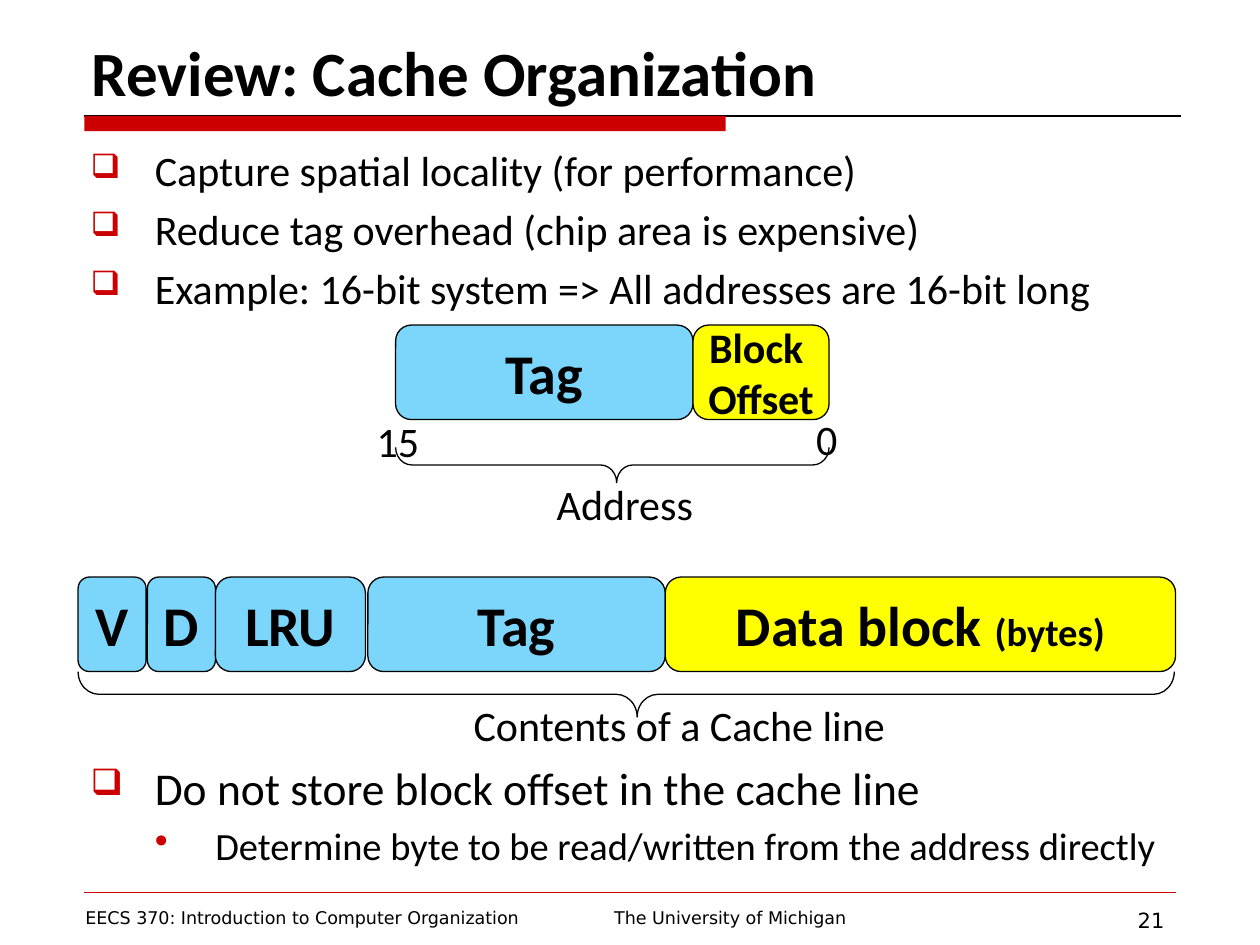
from lxml.etree import SubElement
from pptx import Presentation
from pptx.dml.color import RGBColor
from pptx.enum.shapes import MSO_CONNECTOR, MSO_SHAPE
from pptx.enum.text import MSO_ANCHOR as ANCHOR, MSO_AUTO_SIZE as FIT, PP_ALIGN as ALIGN
from pptx.oxml.ns import qn
from pptx.util import Inches, Pt

COLORS = {"red": "CC0000", "black": "000000", "blue": "7CD5FA", "yellow": "FFFF00"}
BODY_FONT = "Calibri"
FOOTER_FONT = "DejaVu Sans"


def color(name):
    return RGBColor.from_string(COLORS[name])


def add_span(para, text, size, **extra):
    span = para.add_run()
    span.text = text
    formats = {"name": BODY_FONT, "size": Pt(size), "bold": False, **extra}
    for name, value in formats.items():
        setattr(span.font, name, value)
    span.font.color.rgb = color("black")


def add_box(page, left, top, width, height):
    box = page.shapes.add_textbox(*map(Inches, (left, top, width, height)))
    box.text_frame.word_wrap = True
    return box


def add_label(page, text, place, size=24, align=ALIGN.LEFT, font=BODY_FONT):
    para = add_box(page, *place).text_frame.paragraphs[0]
    para.alignment = align
    add_span(para, text, size, name=font)


def add_title(page, text):
    title = page.shapes.title
    place = {"left": 0.63, "top": 0, "width": 8.75, "height": 0.92}
    for name, value in place.items():
        setattr(title, name, Inches(value))
    frame = title.text_frame
    frame.auto_size = FIT.NONE
    frame.vertical_anchor = ANCHOR.BOTTOM
    para = frame.paragraphs[0]
    para.alignment = ALIGN.LEFT
    add_span(para, text, 36, bold=True)


def add_rule(page, left, right, top, line_color, weight):
    rule = page.shapes.add_connector(
        MSO_CONNECTOR.STRAIGHT, *map(Inches, (left, top, right, top)))
    rule.line.color.rgb = color(line_color)
    rule.line.width = Pt(weight)
    SubElement(rule._element.spPr, qn("a:effectLst"))


def add_title_bar(page):
    add_rule(page, 0.67, 9.37, 0.92, "black", 0.75)
    bar = page.shapes.add_shape(
        MSO_SHAPE.RECTANGLE, *map(Inches, (0.67, 0.92, 5.09, 0.12)))
    bar.shadow.inherit = False
    bar.fill.solid()
    bar.fill.fore_color.rgb = color("red")
    bar.line.fill.background()


def set_bullet(para, level):
    """Give the paragraph the hanging indent and red mark of its level."""
    indent, hang, mark, percent = [(0.51, 0.51, "❑", 80), (0.99, 0.48, "•", 100)][level]
    props = para._p.get_or_add_pPr()
    props.set("marL", str(Inches(indent)))
    props.set("indent", str(-Inches(hang)))
    SubElement(SubElement(props, qn("a:buClr")), qn("a:srgbClr"), val=COLORS["red"])
    SubElement(props, qn("a:buSzPct"), val=str(percent * 1000))
    SubElement(props, qn("a:buChar"), char=mark)


def add_bullets(page, top, height, items):
    """Items are (text, size, level)."""
    frame = add_box(page, 0.62, top, 9.38, height).text_frame
    for index, (text, size, level) in enumerate(items):
        para = frame.paragraphs[0] if index == 0 else frame.add_paragraph()
        set_bullet(para, level)
        if index:
            para.space_before = Pt(size * 0.2)
        add_span(para, text, size)


def add_field(page, left, top, width, fill, lines):
    """Draw one bit field; each line is a list of (text, size)."""
    field = page.shapes.add_shape(
        MSO_SHAPE.ROUNDED_RECTANGLE, *map(Inches, (left, top, width, 0.75)))
    field.shadow.inherit = False
    field.fill.solid()
    field.fill.fore_color.rgb = color(fill)
    field.line.color.rgb = color("black")
    field.line.width = Pt(0.75)
    frame = field.text_frame
    frame.word_wrap = False
    frame.vertical_anchor = ANCHOR.MIDDLE
    for index, line in enumerate(lines):
        para = frame.paragraphs[0] if index == 0 else frame.add_paragraph()
        para.alignment = ALIGN.CENTER
        for text, size in line:
            add_span(para, text, size, bold=True)


def add_brace(page, left, top, width, depth):
    """Draw a brace that opens upwards and spans the given width."""
    turn = (width - depth) / 2
    brace = page.shapes.add_shape(
        MSO_SHAPE.LEFT_BRACE, *map(Inches, (left + turn, top - turn, depth, width)))
    brace.rotation = 270
    brace.adjustments[0] = 0.46
    brace.adjustments[1] = 0.51
    brace.shadow.inherit = False
    brace.fill.background()
    brace.line.color.rgb = color("black")
    brace.line.width = Pt(0.75)


def add_cache_line(page):
    fields = [
        (0.62, 0.54, "blue", [("V", 32)]),
        (1.17, 0.54, "blue", [("D", 32)]),
        (1.71, 1.19, "blue", [("LRU", 32)]),
        (2.92, 2.36, "blue", [("Tag", 32)]),
        (5.28, 4.05, "yellow", [("Data block ", 32), ("(bytes)", 22)]),
    ]
    for left, width, fill, line in fields:
        add_field(page, left, 4.58, width, fill, [line])
    add_brace(page, 0.62, 5.33, 8.7, 0.36)
    add_label(page, "Contents of a Cache line", (3.66, 5.5, 3.68, 0.5))


def add_address(page):
    add_field(page, 3.14, 2.58, 2.36, "blue", [[("Tag", 32)]])
    add_field(page, 5.5, 2.58, 1.08, "yellow", [[("Block ", 24)], [("Offset", 24)]])
    add_brace(page, 3.14, 3.55, 3.44, 0.28)
    add_label(page, "Address", (4.32, 3.75, 1.38, 0.5))
    add_label(page, "0", (6.38, 3.23, 0.4, 0.5))
    add_label(page, "15", (2.89, 3.25, 0.57, 0.5))


def add_footer(page):
    add_rule(page, 0.67, 9.33, 7.08, "red", 0.25)
    entries = [
        ("EECS 370: Introduction to Computer Organization", 0.58, 3.92, 10, ALIGN.LEFT),
        ("The University of Michigan", 3.92, 3.75, 10, ALIGN.CENTER),
        ("21", 7.67, 1.67, 12, ALIGN.RIGHT),
    ]
    for text, left, width, size, align in entries:
        add_label(page, text, (left, 7.15, width, 0.27), size, align, FOOTER_FONT)


def main():
    deck = Presentation()
    deck.slide_width, deck.slide_height = Inches(10), Inches(7.5)
    page = deck.slides.add_slide(deck.slide_layouts[5])
    add_title_bar(page)
    add_title(page, "Review: Cache Organization")
    add_bullets(page, 1.1, 1.45, [
        ("Capture spatial locality (for performance)", 24, 0),
        ("Reduce tag overhead (chip area is expensive)", 24, 0),
        ("Example: 16-bit system => All addresses are 16-bit long", 24, 0),
    ])
    add_bullets(page, 5.98, 1.0, [
        ("Do not store block offset in the cache line", 26, 0),
        ("Determine byte to be read/written from the address directly", 22, 1),
    ])
    add_cache_line(page)
    add_address(page)
    add_footer(page)
    deck.save("out.pptx")


if __name__ == "__main__":
    main()
